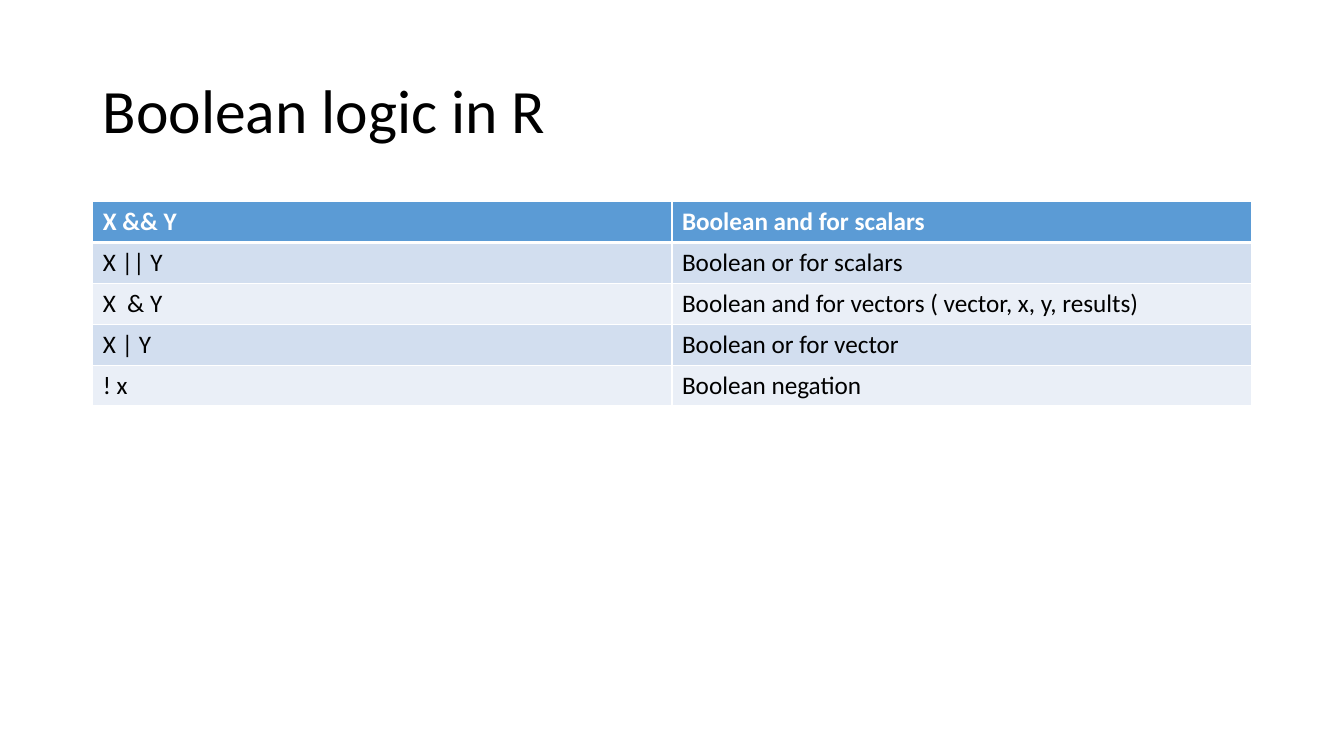
import pptx
import pptx.dml.color
import pptx.enum.text
import pptx.oxml
import pptx.oxml.ns
import pptx.util
from lxml import etree

SLIDE_WIDTH = pptx.util.Inches(13.33)
SLIDE_HEIGHT = pptx.util.Inches(7.5)
LEFT = round(SLIDE_WIDTH * 0.069)
CONTENT_WIDTH = SLIDE_WIDTH - 2 * LEFT
TITLE_TOP = round(SLIDE_HEIGHT * 0.0533)
TITLE_HEIGHT = round(SLIDE_HEIGHT * 0.1933)
TABLE_TOP = round(SLIDE_HEIGHT * 0.2667)
ROW_HEIGHT = round(SLIDE_HEIGHT * 0.0541)
FONT = "Calibri"
COLOURS = {
    "text": "000000",
    "white": "FFFFFF",
    "header": "5B9BD5",
    "dark_band": "D2DEEF",
    "light_band": "EAEFF7",
}
OPERATORS = [
    ("X && Y", "Boolean and for scalars"),
    ("X || Y", "Boolean or for scalars"),
    ("X  & Y", "Boolean and for vectors ( vector, x, y, results)"),
    ("X | Y", "Boolean or for vector"),
    ("! x", "Boolean negation"),
]


def colour(name):
    return pptx.dml.color.RGBColor.from_string(COLOURS[name])


def add_run(paragraph, text, size, colour_name, bold=False):
    run = paragraph.add_run()
    run.text = text
    run.font.name = FONT
    run.font.size = pptx.util.Pt(size)
    run.font.bold = bold
    run.font.color.rgb = colour(colour_name)


def add_title(slide, text):
    title = slide.shapes.title
    title.left, title.top = LEFT, TITLE_TOP
    title.width, title.height = CONTENT_WIDTH, TITLE_HEIGHT
    frame = title.text_frame
    frame.word_wrap = True
    frame.vertical_anchor = pptx.enum.text.MSO_ANCHOR.MIDDLE
    paragraph = frame.paragraphs[0]
    paragraph.alignment = pptx.enum.text.PP_ALIGN.LEFT
    paragraph.line_spacing = 0.9
    add_run(paragraph, text, 44, "text")


def set_borders(cell, widths):
    properties = cell._tc.get_or_add_tcPr()
    for position, (side, width) in enumerate(widths.items()):
        line = pptx.oxml.parse_xml(
            f'<a:{side} {pptx.oxml.ns.nsdecls("a")} w="{pptx.util.Pt(width)}"/>')
        fill = etree.SubElement(line, pptx.oxml.ns.qn("a:solidFill"))
        etree.SubElement(fill, pptx.oxml.ns.qn("a:srgbClr"), val=COLOURS["white"])
        properties.insert(position, line)


def format_cell(cell, text, row_index):
    is_header = row_index == 0
    band = "dark_band" if row_index % 2 else "light_band"
    cell.fill.solid()
    cell.fill.fore_color.rgb = colour("header" if is_header else band)
    set_borders(cell, {
        "lnL": 1,
        "lnR": 1,
        "lnT": 3 if row_index == 1 else 1,
        "lnB": 3 if is_header else 1,
    })
    add_run(cell.text_frame.paragraphs[0], text, 18,
            "white" if is_header else "text", is_header)


def add_operator_table(slide, rows):
    column_count = len(rows[0])
    table = slide.shapes.add_table(
        len(rows), column_count, LEFT, TABLE_TOP,
        CONTENT_WIDTH, ROW_HEIGHT * len(rows)).table
    for column in table.columns:
        column.width = CONTENT_WIDTH // column_count
    for row_index, texts in enumerate(rows):
        table.rows[row_index].height = ROW_HEIGHT
        for column_index, text in enumerate(texts):
            format_cell(table.cell(row_index, column_index), text, row_index)


def main():
    presentation = pptx.Presentation()
    presentation.slide_width = SLIDE_WIDTH
    presentation.slide_height = SLIDE_HEIGHT
    slide = presentation.slides.add_slide(presentation.slide_layouts[5])
    add_title(slide, "Boolean logic in R")
    add_operator_table(slide, OPERATORS)
    presentation.save("out.pptx")


if __name__ == "__main__":
    main()
